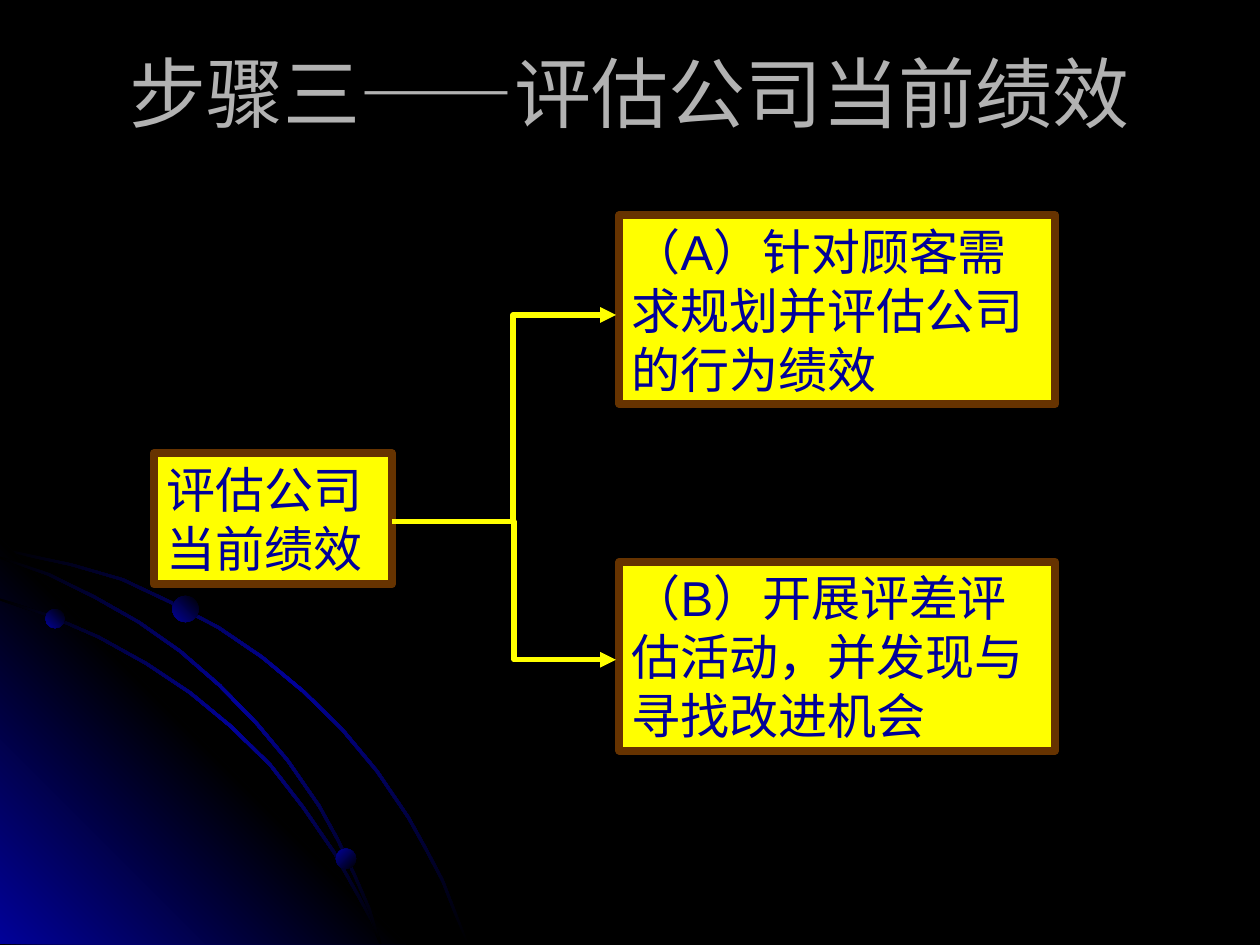
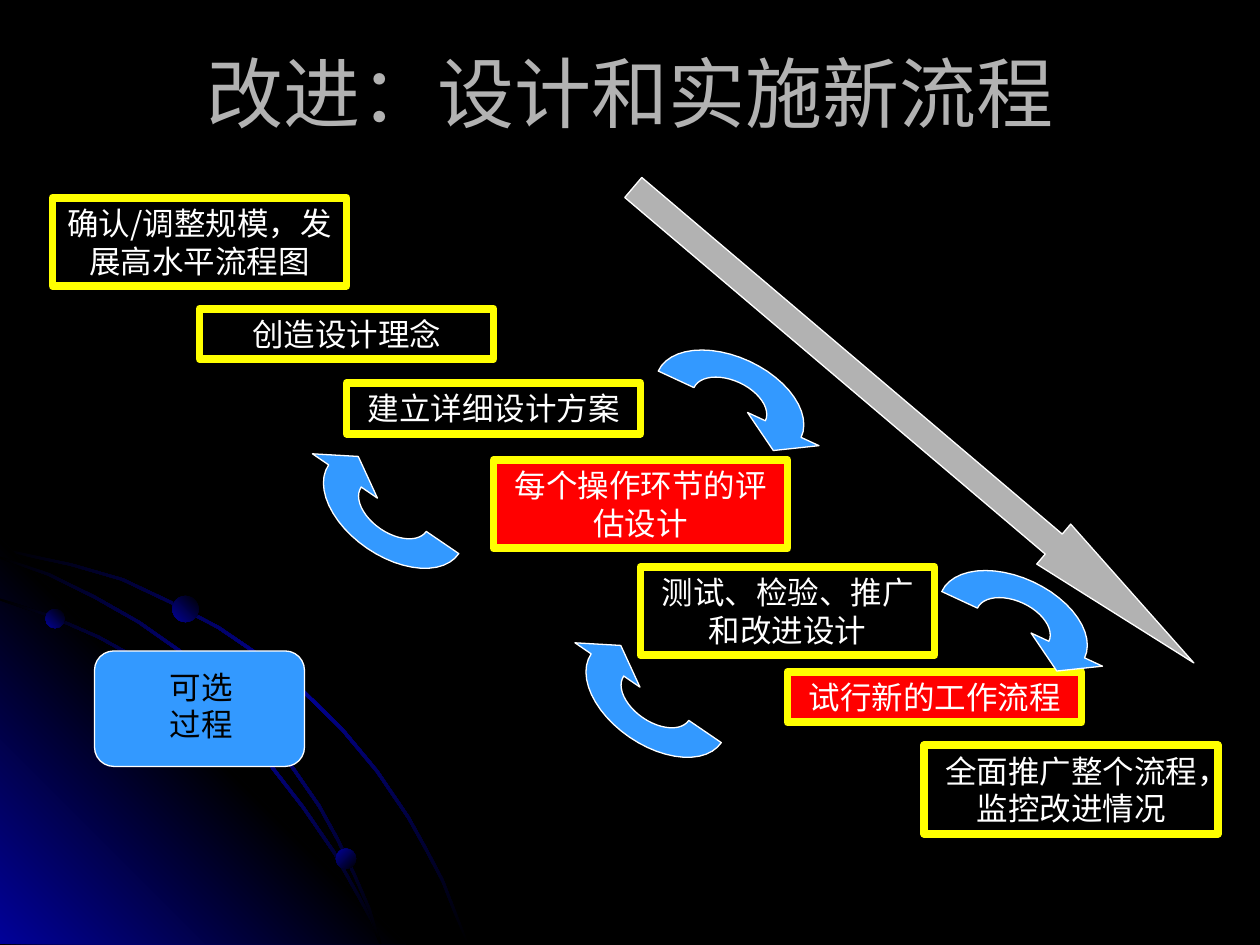
from math import cos, pi, radians, sin

from lxml.etree import SubElement
from pptx import Presentation
from pptx.dml.color import RGBColor
from pptx.enum.shapes import MSO_CONNECTOR, MSO_SHAPE
from pptx.enum.text import MSO_ANCHOR, PP_ALIGN
from pptx.oxml.ns import qn
from pptx.util import Pt

COLORS = {
    "black": "000000",
    "navy": "010199",
    "silver": "B2B2B2",
    "yellow": "FFFF00",
    "brown": "663300",
    "red": "FF0000",
    "sky": "3399FF",
    "white": "FFFFFF",
}
LATIN = "Arial"
CHINESE = "Noto Sans CJK SC"
ARC_BOTTOM = 539.3

# Upper edges of the three thin arcs in the corner
ARCS = [
    [(0, 313), (20, 317.5), (41, 322), (70.5, 330.5), (98, 343.5),
     (125.5, 358), (150.5, 375), (174, 394.5), (196, 416), (216, 440),
     (234, 466.5), (244, 484.5), (253.5, 502.5), (260.5, 520.5),
     (268, ARC_BOTTOM)],
    [(0, 342), (29.5, 351.5), (57, 363.5), (84, 378.5), (109.5, 395.5),
     (132.5, 414.5), (155, 436.5), (174, 461), (191.5, 486.5),
     (206, 512.5), (213, 525.5), (218, ARC_BOTTOM)],
    [(0, 318), (28, 327.5), (54.5, 340.5), (80, 355), (103.5, 371.5),
     (126, 391), (147, 412.5), (165, 434), (183, 460), (193.5, 479),
     (203, 499), (211.5, 518.5), (218, ARC_BOTTOM)],
]
# Left, top, diameter and gradient angle of the dots on the arcs
DOTS = [(26, 348, 11, 135), (192, 485, 11.5, 225), (98.5, 340.5, 15, 135)]

# Text, left, top, height and fill of the steps
STEPS = [
    ("确认/调整规模，发展高水平流程图", 30, 113, 50.4, None),
    ("创造设计理念", 114, 176.4, 28.8, None),
    ("建立详细设计方案", 198, 219, 28.8, None),
    ("每个操作环节的评估设计", 282, 263, 50.4, "red"),
    ("测试、检验、推广和改进设计", 366, 324, 50.4, None),
    ("试行新的工作流程", 450, 384, 28.8, "red"),
    ("全面推广整个流程，监控改进情况", 528, 426, 50.4, None),
]
# Centre and rotation of the loop arrows
LOOPS = [(417, 231, 24.9), (579, 357, 24.9), (225, 291, 214.3), (375, 399, 214.3)]


def rgb(name):
    return RGBColor.from_string(COLORS[name])


def paint(shape, fill=None, line=None, weight=0.75):
    shape.shadow.inherit = False
    if fill:
        shape.fill.solid()
        shape.fill.fore_color.rgb = rgb(fill)
    else:
        shape.fill.background()
    if line:
        shape.line.color.rgb = rgb(line)
        shape.line.width = Pt(weight)
    else:
        shape.line.fill.background()


def paint_gradient(shape, names, angle):
    """Spread the named colours evenly, at a clockwise angle."""
    paint(shape)
    shape.fill.gradient()
    shape.fill.gradient_angle = 360 - angle
    stops = shape.element.spPr.find(qn("a:gradFill")).find(qn("a:gsLst"))
    for stop in list(stops):
        stops.remove(stop)
    for index, name in enumerate(names):
        position = 100000 * index // (len(names) - 1)
        stop = SubElement(stops, qn("a:gs"), pos=str(position))
        SubElement(stop, qn("a:srgbClr"), val=COLORS[name])


def write(shape, text, size, color, font=LATIN, align=PP_ALIGN.LEFT,
          anchor=MSO_ANCHOR.TOP):
    frame = shape.text_frame
    frame.word_wrap = True
    frame.vertical_anchor = anchor
    frame.text = text
    para = frame.paragraphs[0]
    para.alignment = align
    para.font.size = Pt(size)
    para.font.name = font
    para.font.color.rgb = rgb(color)
    # East Asian typeface, beside the Latin one
    defaults = para.font.fill and para._p.pPr.find(qn("a:defRPr"))
    SubElement(defaults, qn("a:ea"), typeface=CHINESE)


def add_preset(page, kind, left, top, width, height):
    return page.shapes.add_shape(kind, Pt(left), Pt(top), Pt(width), Pt(height))


def add_outline(page, points):
    corners = [(Pt(x), Pt(y)) for x, y in points]
    builder = page.shapes.build_freeform(*corners[0])
    builder.add_line_segments(corners[1:], close=True)
    return builder.convert_to_shape()


def add_corner_art(page):
    upper, *others = ARCS
    add_arc(page, upper)
    triangle = add_outline(page, [(232, 539.5), (0, 539.5), (0, 307.5)])
    paint_gradient(triangle, ["navy", "black", "navy"], 135)
    for edge in others:
        add_arc(page, edge)
    for left, top, size, angle in DOTS:
        dot = add_preset(page, MSO_SHAPE.OVAL, left, top, size, size)
        paint_gradient(dot, ["black", "navy"], angle)


def add_arc(page, edge):
    lower = [(max(0, x - 1.2), min(ARC_BOTTOM, y + 1.2)) for x, y in edge]
    arc = add_outline(page, edge + lower[::-1])
    paint_gradient(arc, ["black", "navy", "black"], 225)


def add_page(deck, title):
    page = deck.slides.add_slide(deck.slide_layouts[5])
    add_corner_art(page)
    heading = page.shapes.title
    heading.left, heading.top = Pt(36), Pt(21.6)
    heading.width, heading.height = Pt(648), Pt(61.2)
    write(heading, title, 44, "silver", align=PP_ALIGN.CENTER,
          anchor=MSO_ANCHOR.MIDDLE)
    return page


def add_topic(page, text, left, top, width, height):
    box = add_preset(page, MSO_SHAPE.RECTANGLE, left, top, width, height)
    paint(box, "yellow", "brown", 4.5)
    write(box, text, 28, "navy")


def add_step(page, text, left, top, height, fill):
    box = add_preset(page, MSO_SHAPE.RECTANGLE, left, top, 168, height)
    paint(box, fill, "yellow", 4.5)
    write(box, text, 18, "white", CHINESE, PP_ALIGN.CENTER)


def add_branch(page, start, end, bend):
    """Elbow arrow that turns at the given share of its width."""
    branch = page.shapes.add_connector(
        MSO_CONNECTOR.ELBOW, *(Pt(value) for value in start + end))
    branch.line.color.rgb = rgb("yellow")
    branch.line.width = Pt(3)
    properties = branch.element.spPr
    guides = properties.find(qn("a:prstGeom")).find(qn("a:avLst"))
    SubElement(guides, qn("a:gd"), name="adj1", fmla=f"val {round(bend * 100000)}")
    SubElement(properties.find(qn("a:ln")), qn("a:tailEnd"), type="triangle")
    SubElement(properties, qn("a:effectLst"))


def add_loop_arrow(page, center_x, center_y, rotation):
    """Half ring, 90 by 54 points before it is turned, with an arrowhead."""
    angles = [pi * step / 24 for step in range(25)]
    inner = [(22.5 * cos(a), -13.5 * sin(a)) for a in angles]
    outer = [(-45 * cos(a), -27 * sin(a)) for a in angles]
    head = [(56.25, 0), (33.75, 13.5), (11.25, 0)]
    turn = radians(rotation)
    points = [(center_x + x * cos(turn) - y * sin(turn),
               center_y + x * sin(turn) + y * cos(turn))
              for x, y in inner + outer + head]
    paint(add_outline(page, points), "sky", "white")


def build_assessment(deck):
    page = add_page(deck, "步骤三——评估公司当前绩效")
    add_topic(page, "评估公司当前绩效", 88, 259, 136, 75)
    add_topic(page, "（B）开展评差评估活动，并发现与寻找改进机会", 354, 321, 249, 108)
    add_topic(page, "（A）针对顾客需求规划并评估公司的行为绩效", 354, 123, 249, 108)
    add_branch(page, (224, 298), (352, 180), 0.54)
    add_branch(page, (235.5, 298), (352, 377), 0.5)


def build_improvement(deck):
    page = add_page(deck, "改进：设计和实施新流程")
    for step in STEPS:
        add_step(page, *step)

    # Long arrow down the stairs
    arrow = add_preset(page, MSO_SHAPE.RIGHT_ARROW, 312, 228, 420, 30)
    arrow.adjustments[0], arrow.adjustments[1] = 0.5, 3.5
    arrow.rotation = 40.3
    paint(arrow, "silver", "white")

    for loop in LOOPS:
        add_loop_arrow(page, *loop)

    # Key for the optional steps
    key = add_preset(page, MSO_SHAPE.FLOWCHART_ALTERNATE_PROCESS, 54, 372, 120, 66)
    paint(key, "sky", "white")
    label = page.shapes.add_textbox(Pt(90), Pt(378), Pt(54), Pt(50.4))
    write(label, "可选过程", 18, "black")


def main():
    deck = Presentation()
    deck.slide_width, deck.slide_height = Pt(720), Pt(540)
    background = deck.slide_master.background.fill
    background.solid()
    background.fore_color.rgb = rgb("black")
    build_assessment(deck)
    build_improvement(deck)
    deck.save("out.pptx")


if __name__ == "__main__":
    main()
